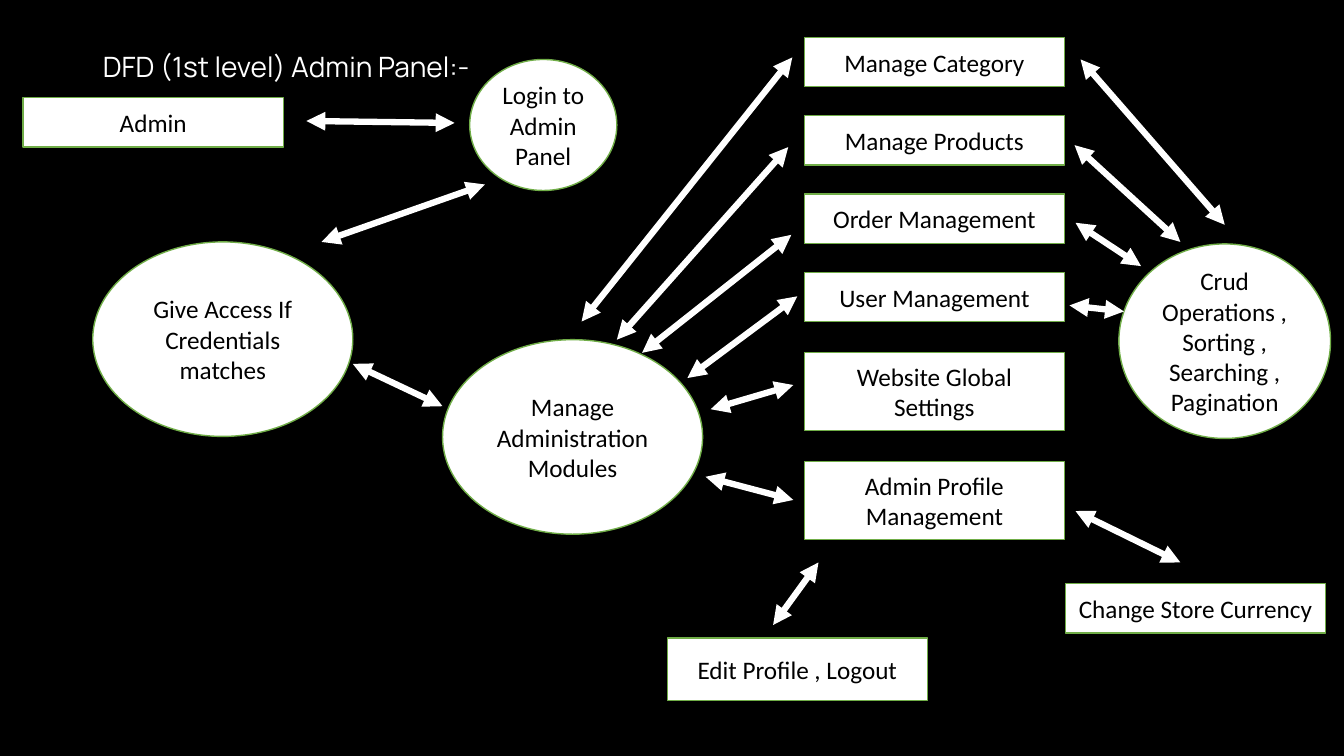
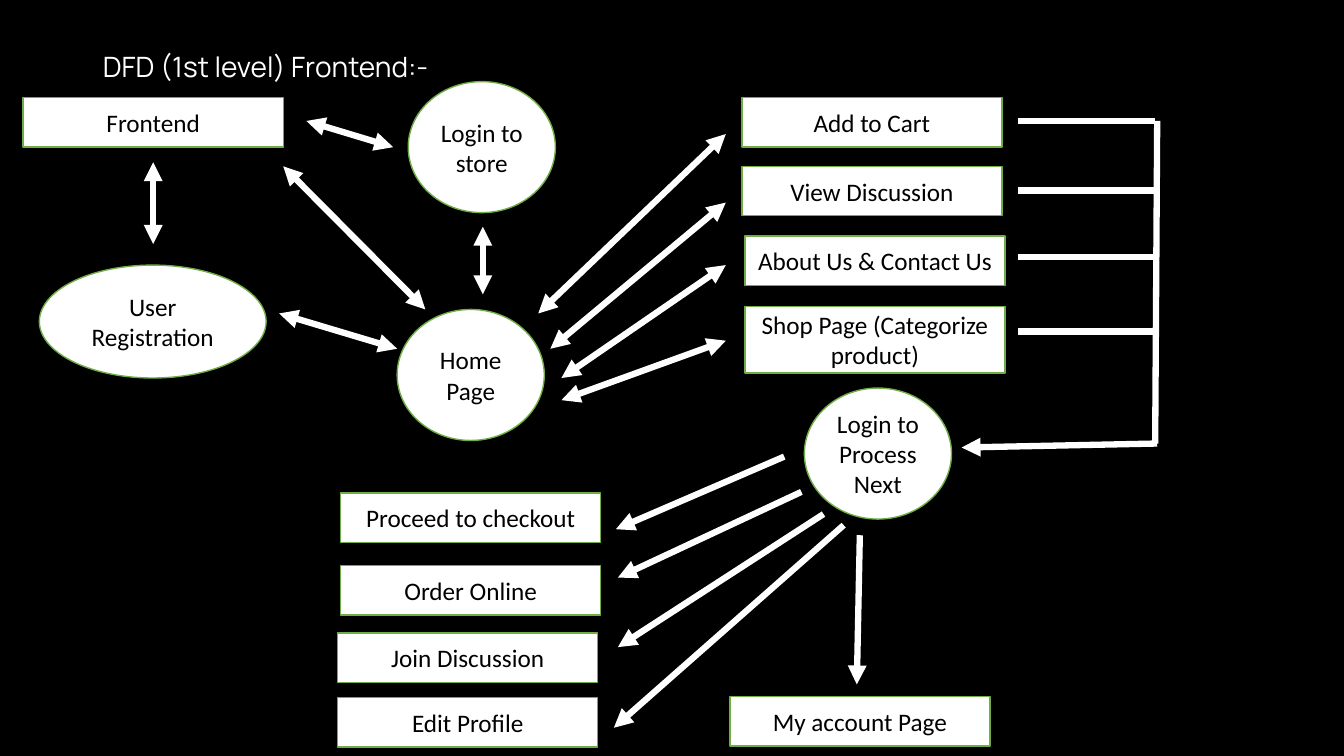
from lxml import etree
from pptx import Presentation
from pptx import util as u
from pptx.dml.color import RGBColor
from pptx.enum import shapes, text
from pptx.oxml import ns

CELL = 0.1  # inches; every length below counts columns or rows of this grid
COLS, ROWS = 133.33, 75
BOX_W, BOX_H = 25.8, 4.9
CIRCLE_W, CIRCLE_H = 14.6, 13
OVAL_W, OVAL_H = 25.8, 19.3


def grid(n):
    return u.Inches(n * CELL)


def color(hex_string):
    return RGBColor.from_string(hex_string)


class Deck:
    BLACK, WHITE, GREEN = "000000", "FFFFFF", "70AD47"
    TITLE_FONT, BODY_FONT = "Manrope", "Calibri"

    def __init__(self):
        self.prs = Presentation()
        self.prs.slide_width, self.prs.slide_height = grid(COLS), grid(ROWS)
        fill = self.prs.slide_master.background.fill
        fill.solid()
        fill.fore_color.rgb = color(self.BLACK)
        self.s = None

    def style(self, p, font, size, hex_string, align):
        p.font.name, p.font.size = font, u.Pt(size)
        p.font.color.rgb = color(hex_string)
        p.alignment = align

    def slide(self, title):
        self.s = self.prs.slides.add_slide(self.prs.slide_layouts[5])
        sp = self.s.shapes.title
        sp.left, sp.top, sp.width, sp.height = map(grid, (9.2, 3.9, 115, 5.8))
        tf = sp.text_frame
        tf.text = title
        tf.vertical_anchor = text.MSO_ANCHOR.MIDDLE
        p = tf.paragraphs[0]
        self.style(p, self.TITLE_FONT, 20, self.WHITE, text.PP_ALIGN.LEFT)
        p.line_spacing = 0.9

    def node(self, kind, label, x, y, w, h):
        sp = self.s.shapes.add_shape(kind, *map(grid, (x, y, w, h)))
        sp.shadow.inherit = False
        sp.fill.solid()
        sp.fill.fore_color.rgb = color(self.WHITE)
        sp.line.color.rgb = color(self.GREEN)
        sp.line.width = u.Pt(1)
        sp.text_frame.text = label
        for p in sp.text_frame.paragraphs:
            self.style(p, self.BODY_FONT, 18, self.BLACK, text.PP_ALIGN.CENTER)

    def box(self, label, x, y, h=BOX_H):
        self.node(shapes.MSO_SHAPE.RECTANGLE, label, x, y, BOX_W, h)

    def oval(self, label, x, y, w=CIRCLE_W, h=CIRCLE_H):
        self.node(shapes.MSO_SHAPE.OVAL, label, x, y, w, h)

    def line(self, x1, y1, x2, y2, ends=(), glow=False):
        """Draw a thick line; ends names the arrowheads, glow adds a soft shadow."""
        c = self.s.shapes.add_connector(
            shapes.MSO_CONNECTOR.STRAIGHT, *map(grid, (x1, y1, x2, y2)))
        c.line.color.rgb = color(self.WHITE)
        c.line.width = u.Pt(4.5)
        spPr = c._element.spPr
        ln = spPr.find(ns.qn("a:ln"))
        for end in ends:
            etree.SubElement(ln, ns.qn(f"a:{end}"), type="triangle")
        effects = etree.SubElement(spPr, ns.qn("a:effectLst"))
        if glow:
            shadow = etree.SubElement(effects, ns.qn("a:outerShdw"),
                                      blurRad=str(u.Pt(5)), dist="0")
            tint = etree.SubElement(shadow, ns.qn("a:srgbClr"), val=self.BLACK)
            etree.SubElement(tint, ns.qn("a:alpha"), val="40000")

    def arrow(self, *points):
        self.line(*points, ends=("tailEnd",))

    def two_way(self, *points):
        self.line(*points, ends=("headEnd", "tailEnd"), glow=True)


def admin_panel(deck):
    deck.slide("DFD (1st level) Admin Panel:-")
    deck.box("Admin", 2.3, 9.7)
    deck.oval("Login to Admin Panel", 46.6, 5.9)
    deck.oval("Give Access If Credentials matches", 9.2, 24, OVAL_W, OVAL_H)
    deck.oval("Manage Administration\nModules", 43.9, 33.7, OVAL_W, OVAL_H)
    deck.oval("Crud Operations ,\nSorting , Searching , Pagination",
              111, 24.2, 21, OVAL_H)

    modules = ("Manage Category", "Manage Products",
               "Order Management", "User Management")
    for i, label in enumerate(modules):
        deck.box(label, 79.8, 3.7 + 7.77 * i)
    deck.box("Website Global Settings", 79.8, 35, 7.7)
    deck.box("Admin Profile Management", 79.8, 45.8, 7.7)
    deck.box("Edit Profile , Logout", 66.2, 63.3, 6.2)
    deck.box("Change Store Currency", 105.7, 57.9)

    login_links = [(45.1, 12.2, 30.4, 12), (48.1, 18.3, 31.9, 24),
                   (43.9, 40.3, 35, 36.1)]
    module_links = [(78.6, 5.7, 57.7, 31.9), (78.2, 14.6, 61.2, 33.7),
                    (78.5, 23.3, 63.7, 35), (79.1, 29.4, 68.2, 37.5),
                    (78.7, 38.2, 70.5, 40.6), (78.7, 49.6, 70, 47.3)]
    crud_links = [(121.5, 22.3, 107.2, 5.9), (117.1, 24, 106.6, 14.4),
                  (113.2, 26.4, 106.7, 22.1), (111.5, 30.9, 106.1, 30.3)]
    profile_links = [(81.2, 55.8, 76.7, 62), (117.1, 55.8, 106.7, 50.7)]
    for link in login_links + module_links + crud_links + profile_links:
        deck.two_way(*link)


def frontend(deck):
    deck.slide("DFD (1st level) Frontend:-")
    deck.box("Frontend", 2.3, 9.7)
    deck.oval("Login to store", 40.5, 8.1)
    deck.oval("User Registration", 3.9, 26.3, 22.5, 11.2)
    deck.oval("Home Page", 39.4, 30.7)
    deck.oval("Login to Process Next", 79.8, 38.5)

    deck.box("Add to Cart", 73.6, 9.7)
    deck.box("View Discussion", 73.6, 16.5)
    deck.box("About Us & Contact Us", 73.9, 23.4)
    deck.box("Shop Page (Categorize product)", 73.9, 30.4, 6.6)

    deck.box("Proceed to checkout", 33.8, 48.9)
    deck.box("Order Online", 33.8, 56.1)
    deck.box("Join Discussion", 33.5, 62.8)
    deck.box("Edit Profile", 33.5, 69.2)
    deck.box("My account Page", 72.4, 69.1)

    entry_links = [(39, 14.6, 30.4, 12), (15.2, 16.1, 15.2, 24.2),
                   (42.2, 30.7, 28.1, 16.5), (47.9, 29.2, 47.9, 22.5),
                   (27.7, 31.1, 39.4, 34.6)]
    page_links = [(53.4, 31.1, 72, 13.3), (54.6, 34.6, 72, 20.1),
                  (55.7, 37.5, 72, 26.3), (55.7, 39.7, 72, 33.8)]
    for link in entry_links + page_links:
        deck.two_way(*link)

    for y in (12, 18.9, 25.5, 32.9):
        deck.line(101, y, 114.6, y)
    deck.line(114.8, 12, 114.6, 44)
    deck.arrow(114.8, 44, 95.4, 44.4)

    account_links = [(77.8, 45.3, 61.1, 52.5), (79.5, 48.8, 61.3, 57.3),
                     (81.7, 51, 61.3, 64.2), (83.7, 52.1, 60.9, 72.2),
                     (85.3, 53.1, 85, 67.9)]
    for link in account_links:
        deck.arrow(*link)


def main():
    deck = Deck()
    admin_panel(deck)
    frontend(deck)
    deck.prs.save("out.pptx")


if __name__ == "__main__":
    main()
